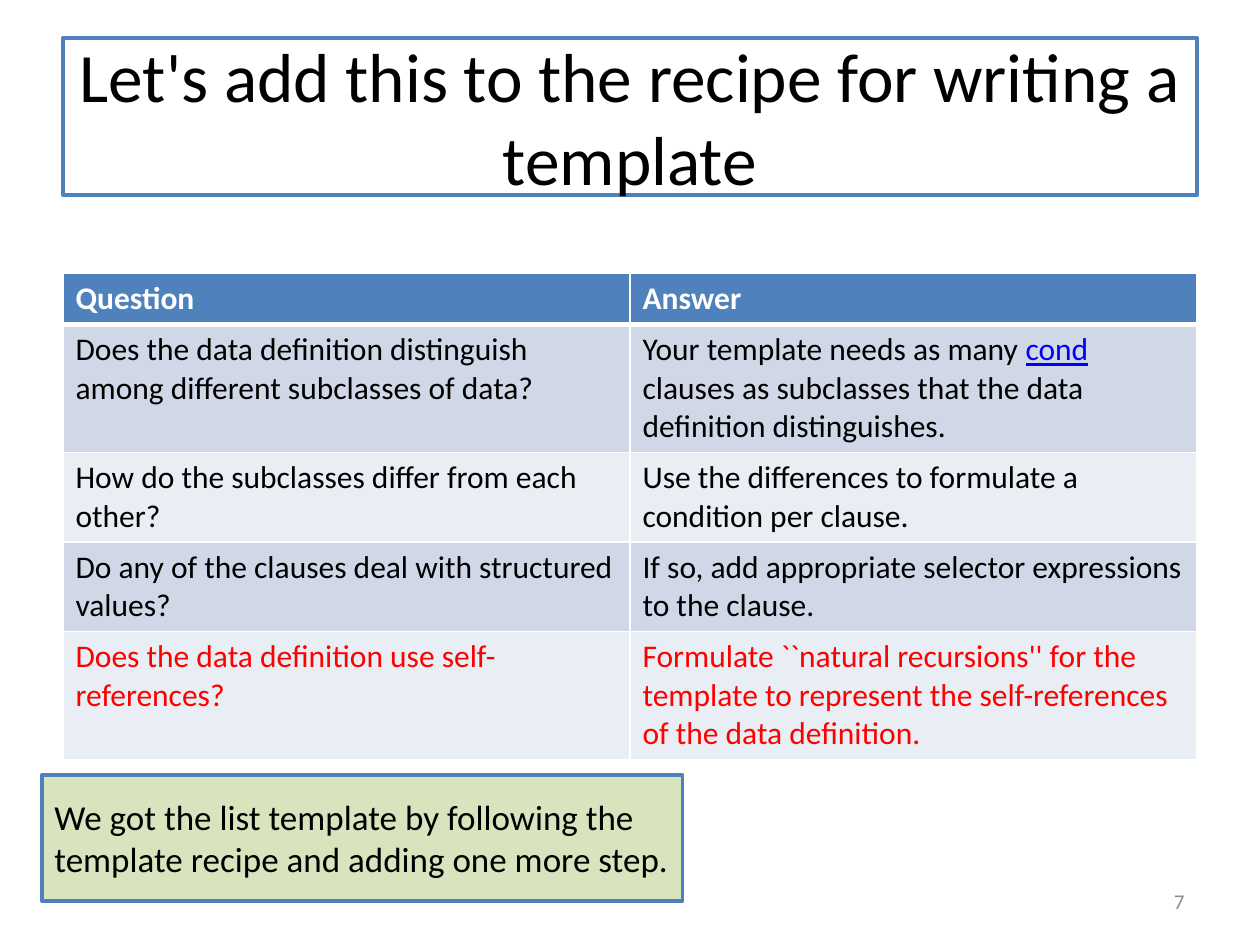
"""Build the slide that adds a self-reference step to the template recipe."""
from dataclasses import dataclass

from lxml.etree import SubElement
from pptx import Presentation
from pptx.dml.color import RGBColor as Color
from pptx.enum.shapes import MSO_SHAPE as Preset
from pptx.enum.text import MSO_ANCHOR as Anchor, MSO_AUTO_SIZE as AutoSize, PP_ALIGN as Align
from pptx.oxml.ns import qn
from pptx.util import Pt


@dataclass
class Theme:
    font: str = "Calibri"
    black: str = "000000"
    white: str = "FFFFFF"
    blue: str = "4F81BD"
    dark_band: str = "D0D8E8"
    light_band: str = "E9EDF4"
    green: str = "D7E4BD"
    red: str = "FF0000"
    link: str = "0000FF"
    gray: str = "8C8C8C"
    title_size: float = 39.6
    note_size: float = 20
    table_size: float = 18
    number_size: float = 12


theme = Theme()


def style_text(frame, size, color, align=Align.LEFT, bold=False):
    frame.word_wrap = True
    frame.auto_size = AutoSize.NONE
    frame.vertical_anchor = Anchor.MIDDLE
    for para in frame.paragraphs:
        para.alignment = align
        for span in para.runs:
            span.font.name = theme.font
            span.font.size = Pt(size)
            span.font.bold = bold
            span.font.color.rgb = Color.from_string(color)


def style_box(box, fill, line_width):
    box.fill.solid()
    box.fill.fore_color.rgb = Color.from_string(fill)
    box.line.color.rgb = Color.from_string(theme.blue)
    box.line.width = Pt(line_width)


deck = Presentation()
deck.slide_width, deck.slide_height = Pt(720), Pt(540)
page = deck.slides.add_slide(deck.slide_layouts[5])

title = page.shapes.title
title.left, title.top, title.width, title.height = Pt(36), Pt(21.6), Pt(648), Pt(90)
title.text_frame.text = "Let's add this to the recipe for writing a template"
style_text(title.text_frame, theme.title_size, theme.black, Align.CENTER)
style_box(title, theme.white, 2.25)

recipe = [
    (["Question"], ["Answer"]),
    (["Does the data definition distinguish among different subclasses of data?"],
     ["Your template needs as many ", "cond",
      " clauses as subclasses that the data definition distinguishes."]),
    (["How do the subclasses differ from each other?"],
     ["Use the differences to formulate a condition per clause."]),
    (["Do any of the clauses deal with structured values?"],
     ["If so, add appropriate selector expressions to the clause."]),
    (["Does the data definition use self-references?"],
     ["Formulate ``natural recursions'' for the template to represent "
      "the self-references of the data definition."]),
]
table = page.shapes.add_table(len(recipe), 2, Pt(36), Pt(156.24), Pt(648), Pt(146)).table
for row_index, row in enumerate(recipe):
    is_header = row_index == 0
    is_new_step = row_index == len(recipe) - 1
    band = theme.dark_band if row_index % 2 else theme.light_band
    color = theme.white if is_header else theme.red if is_new_step else theme.black
    borders = {"a:lnL": 1, "a:lnR": 1, "a:lnB": 3 if is_header else 1}
    for column_index, pieces in enumerate(row):
        cell = table.cell(row_index, column_index)
        para = cell.text_frame.paragraphs[0]
        for piece in pieces:
            para.add_run().text = piece
        for span in para.runs:
            span.font.name = theme.font
            span.font.size = Pt(theme.table_size)
            span.font.bold = is_header
            is_link = span.text == "cond"
            span.font.underline = is_link
            span.font.color.rgb = Color.from_string(theme.link if is_link else color)
        properties = cell._tc.get_or_add_tcPr()
        for tag, width in borders.items():
            line = SubElement(properties, qn(tag), w=str(Pt(width)))
            fill = SubElement(line, qn("a:solidFill"))
            SubElement(fill, qn("a:srgbClr"), val=theme.white)
        cell.fill.solid()
        cell.fill.fore_color.rgb = Color.from_string(theme.blue if is_header else band)

number = page.shapes.add_textbox(Pt(516), Pt(500.5), Pt(168), Pt(28.75))
number.text_frame.text = "7"
style_text(number.text_frame, theme.number_size, theme.gray, Align.RIGHT)

note = page.shapes.add_shape(Preset.RECTANGLE, Pt(24), Pt(442.8), Pt(366), Pt(72))
note.shadow.inherit = False
note.text_frame.text = ("We got the list template by following the template recipe "
                        "and adding one more step.")
style_text(note.text_frame, theme.note_size, theme.black)
style_box(note, theme.green, 2)

deck.save("out.pptx")
